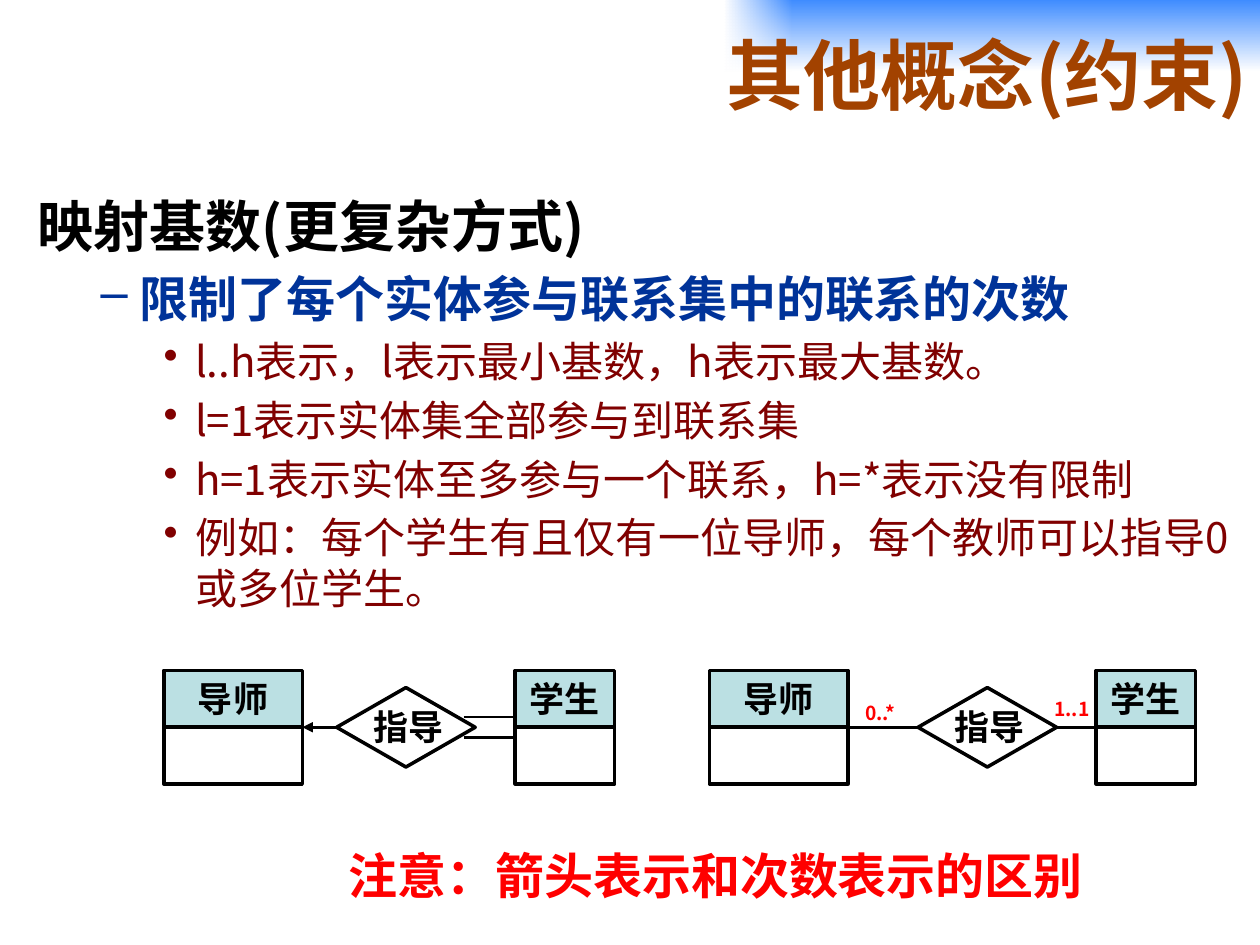
from lxml.etree import SubElement
from pptx import Presentation
from pptx.dml.color import RGBColor
from pptx.enum.shapes import MSO_CONNECTOR, MSO_SHAPE
from pptx.enum.text import MSO_ANCHOR, PP_ALIGN
from pptx.oxml.ns import qn
from pptx.util import Pt

BLACK = RGBColor(0x00, 0x00, 0x00)
WHITE = RGBColor(0xFF, 0xFF, 0xFF)
RED = RGBColor(0xFF, 0x00, 0x00)
BROWN = RGBColor(0xA2, 0x42, 0x00)
NAVY = RGBColor(0x00, 0x33, 0x99)
MAROON = RGBColor(0x80, 0x00, 0x00)
PALE_TEAL = RGBColor(0xBB, 0xE0, 0xE3)
SKY = RGBColor(0x3F, 0x8C, 0xFF)
HEADING_FONT = "Noto Sans CJK SC"
BODY_FONT = "Noto Sans CJK JP"

ROW_HEIGHT = 32.4
ENTITY_TOP = 383.2
AXIS = ENTITY_TOP + ROW_HEIGHT
DIAMOND_WIDTH, DIAMOND_HEIGHT = 79.2, 45.4
TEACHER_WIDTH, STUDENT_WIDTH = 79.2, 56.9


class SlidePainter:
    """Draws styled elements on one slide; all lengths are in points."""

    def __init__(self, slide):
        self.slide = slide

    def span(self, para, text, size, color, bold=True, font=BODY_FONT):
        span = para.add_run()
        span.text = text
        span.font.size = Pt(size)
        span.font.bold = bold
        span.font.color.rgb = color
        span.font.name = font
        properties = span._r.get_or_add_rPr()
        SubElement(properties, qn("a:ea")).set("typeface", font)

    def text_box(self, left, top, width, height, wrap=True, anchor=MSO_ANCHOR.TOP):
        box = self.slide.shapes.add_textbox(Pt(left), Pt(top), Pt(width), Pt(height))
        box.text_frame.word_wrap = wrap
        box.text_frame.vertical_anchor = anchor
        return box.text_frame

    def label(self, left, top, width, height, text, size, color, font=BODY_FONT, wrap=True):
        frame = self.text_box(left, top, width, height, wrap)
        self.span(frame.paragraphs[0], text, size, color, font=font)

    def bullet(self, para, mark, margin, indent):
        properties = para._p.get_or_add_pPr()
        properties.set("marL", str(Pt(margin)))
        properties.set("indent", str(Pt(indent)))
        SubElement(properties, qn("a:buChar")).set("char", mark)

    def shape(self, kind, left, top, width, height, fill=None):
        shape = self.slide.shapes.add_shape(kind, Pt(left), Pt(top), Pt(width), Pt(height))
        shape.shadow.inherit = False
        if fill is None:
            shape.fill.background()
        else:
            shape.fill.solid()
            shape.fill.fore_color.rgb = fill
        shape.line.color.rgb = BLACK
        shape.line.width = Pt(2)
        return shape

    def fade(self, left, top, width, height, start, end, angle, end_alpha=100):
        """Borderless rectangle with a two-colour gradient."""
        band = self.shape(MSO_SHAPE.RECTANGLE, left, top, width, height)
        band.line.fill.background()
        band.fill.gradient()
        band.fill.gradient_angle = angle
        for stop, color in zip(band.fill.gradient_stops, (start, end)):
            stop.color.rgb = color
        last_color = band._element.spPr.findall(".//" + qn("a:srgbClr"))[-1]
        SubElement(last_color, qn("a:alpha")).set("val", str(end_alpha * 1000))

    def entity(self, left, width, name):
        header = self.shape(MSO_SHAPE.RECTANGLE, left, ENTITY_TOP, width, ROW_HEIGHT, PALE_TEAL)
        header.text_frame.vertical_anchor = MSO_ANCHOR.MIDDLE
        para = header.text_frame.paragraphs[0]
        para.alignment = PP_ALIGN.CENTER
        self.span(para, name, 20, BLACK)
        self.shape(MSO_SHAPE.RECTANGLE, left, AXIS, width, ROW_HEIGHT, WHITE)

    def relation(self, left, name):
        top = AXIS - DIAMOND_HEIGHT / 2
        self.shape(MSO_SHAPE.FLOWCHART_DECISION, left, top, DIAMOND_WIDTH, DIAMOND_HEIGHT)
        self.label(left + 14, top + 6.5, 54.7, 31.7, name, 20, BLACK, wrap=False)

    def line(self, start_x, end_x, y, arrow=False):
        line = self.slide.shapes.add_connector(
            MSO_CONNECTOR.STRAIGHT, Pt(start_x), Pt(y), Pt(end_x), Pt(y))
        line.line.color.rgb = BLACK
        line.line.width = Pt(1.5)
        if arrow:
            SubElement(line.line._get_or_add_ln(), qn("a:tailEnd")).set("type", "triangle")
        SubElement(line._element.spPr, qn("a:effectLst"))


def add_heading(painter):
    painter.fade(414, 0, 306, 41, SKY, WHITE, 270)
    painter.fade(414, 0, 38, 41, WHITE, WHITE, 0, end_alpha=0)
    frame = painter.text_box(105.1, 0, 614.9, 84.2, anchor=MSO_ANCHOR.MIDDLE)
    frame.paragraphs[0].alignment = PP_ALIGN.RIGHT
    painter.span(frame.paragraphs[0], "其他概念(约束)", 44, BROWN, font=HEADING_FONT)


def add_body(painter):
    frame = painter.text_box(14.4, 105.8, 694.8, 356.4)
    painter.span(frame.paragraphs[0], "映射基数(更复杂方式)", 32, BLACK)
    points = [
        ("–", 58.5, -22.5, 28, NAVY, True, "限制了每个实体参与联系集中的联系的次数"),
    ] + [
        ("•", 90, -18, 24, MAROON, False, text) for text in (
            "l..h表示，l表示最小基数，h表示最大基数。",
            "l=1表示实体集全部参与到联系集",
            "h=1表示实体至多参与一个联系，h=*表示没有限制",
            "例如：每个学生有且仅有一位导师，每个教师可以指导0或多位学生。",
        )
    ]
    for mark, margin, indent, size, color, bold, text in points:
        para = frame.add_paragraph()
        painter.bullet(para, mark, margin, indent)
        para.alignment = PP_ALIGN.JUSTIFY
        para.space_before = Pt(size * 0.2)
        painter.span(para, text, size, color, bold)


def add_diagram(painter, teacher_left, diamond_left, student_left):
    painter.relation(diamond_left, "指导")
    painter.entity(teacher_left, TEACHER_WIDTH, "导师")
    painter.entity(student_left, STUDENT_WIDTH, "学生")


def main():
    deck = Presentation()
    deck.slide_width, deck.slide_height = Pt(720), Pt(540)
    painter = SlidePainter(deck.slides.add_slide(deck.slide_layouts[6]))
    add_heading(painter)
    add_body(painter)

    add_diagram(painter, 93.6, 192.4, 294.4)
    painter.line(192.4, 172.8, AXIS, arrow=True)
    for y in (409.7, 421.6):
        painter.line(265, 295, y)

    add_diagram(painter, 405.4, 524.6, 626.4)
    painter.line(524.6, 484.6, AXIS)
    painter.line(603.8, 626.4, AXIS)
    for left, top, text in ((487.4, 397.4, "0..*"), (595.4, 394.6, "1..1")):
        painter.label(left, top, 39.6, 20.9, text, 11, RED, HEADING_FONT)

    painter.label(192.2, 479.5, 485.3, 41, "注意：箭头表示和次数表示的区别", 28, RED)
    deck.save("out.pptx")


if __name__ == "__main__":
    main()
